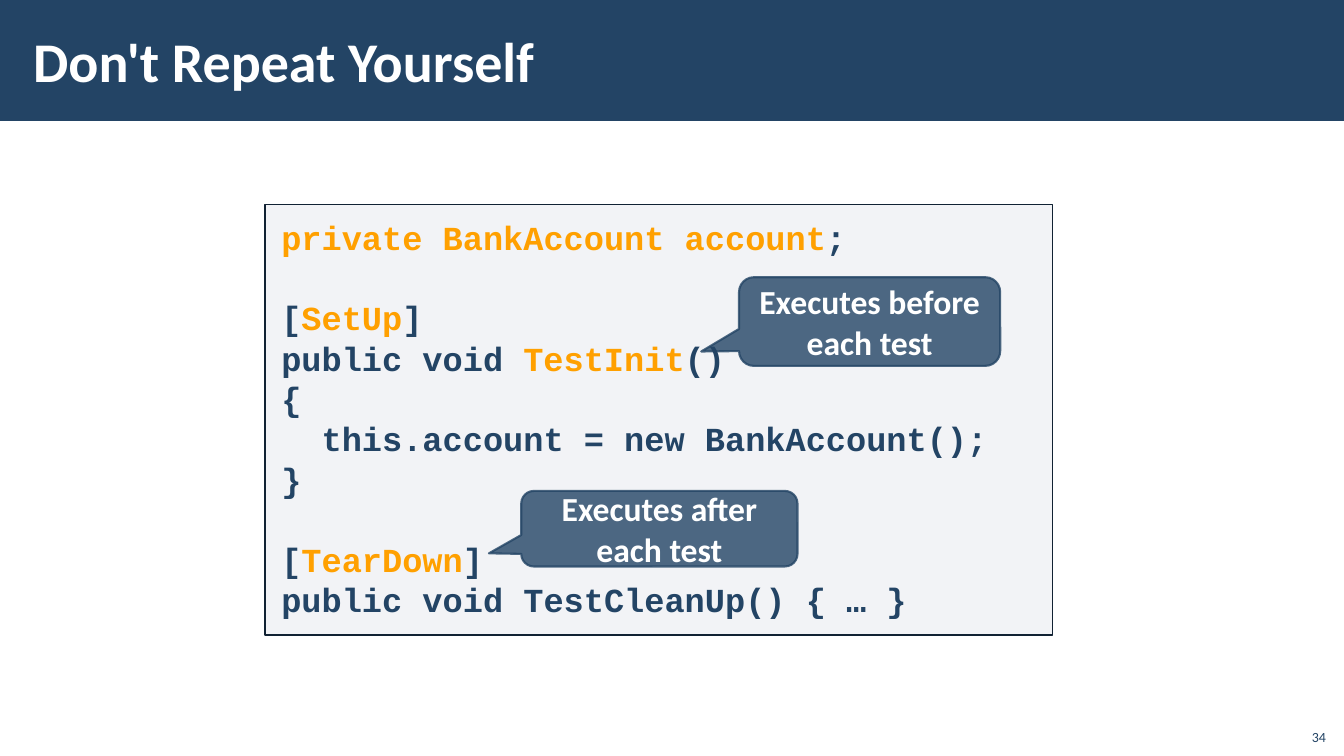
import pptx
import pptx.dml.color
import pptx.enum.shapes
import pptx.enum.text
import pptx.oxml
import pptx.util
from dataclasses import dataclass
from pptx.util import Inches

SHAPES = pptx.enum.shapes.MSO_SHAPE
ANCHOR = pptx.enum.text.MSO_ANCHOR
ALIGN = pptx.enum.text.PP_ALIGN


@dataclass(frozen=True)
class Theme:
    navy: str = "234465"
    orange: str = "FFA000"
    white: str = "FFFFFF"
    panel: str = "ADB4C3"
    panel_line: str = "112233"
    body_font: str = "Calibri"
    code_font: str = "Courier New"
    title_size: int = 40
    text_size: int = 24
    number_size: int = 10
    code_spacing: float = 1.0
    blank_line: float = 28.7


THEME = Theme()

# Each code line is (blank line above, [(text, highlighted), ...])
CODE = [
    (False, [("private BankAccount account", True), (";", False)]),
    (True, [("[", False), ("SetUp", True), ("]", False)]),
    (False, [("public void ", False), ("TestInit", True), ("()", False)]),
    (False, [("{", False)]),
    (False, [("  this.account = new BankAccount();", False)]),
    (False, [("}", False)]),
    (True, [("[", False), ("TearDown", True), ("]", False)]),
    (False, [("public void TestCleanUp() { … }", False)]),
]

# Text, box relative to the code panel, pointer and corner adjustments
CALLOUTS = [
    ("Executes before each test", (4.7, 0.72, 2.59, 0.88), (-0.645, 0.338, 0.167)),
    ("Executes after each test", (2.54, 2.84, 2.74, 0.75), (-0.617, 0.326, 0.167)),
]


def rgb(color):
    return pptx.dml.color.RGBColor.from_string(color)


def set_opacity(fill, percent):
    color = fill._xPr.find(".//" + pptx.oxml.ns.qn("a:srgbClr"))
    alpha = pptx.oxml.parse_xml(
        f'<a:alpha {pptx.oxml.ns.nsdecls("a")} val="{percent * 1000}"/>')
    color.append(alpha)


def add_box(slide, kind, box, color, opacity=100, line=None, line_width=1):
    shape = slide.shapes.add_shape(kind, *map(Inches, box))
    shape.shadow.inherit = False
    shape.fill.solid()
    shape.fill.fore_color.rgb = rgb(color)
    set_opacity(shape.fill, opacity)
    if line:
        shape.line.color.rgb = rgb(line)
        shape.line.width = pptx.util.Pt(line_width)
    else:
        shape.line.fill.background()
    return shape


def set_font(paragraph, name, size, color, bold=True):
    font = paragraph.font
    font.name, font.size, font.bold = name, pptx.util.Pt(size), bold
    font.color.rgb = rgb(color)


def set_frame(frame, anchor, horizontal=0.1, vertical=0.05):
    frame.word_wrap = True
    frame.vertical_anchor = anchor
    frame.margin_left = frame.margin_right = Inches(horizontal)
    frame.margin_top = frame.margin_bottom = Inches(vertical)


def add_title_bar(slide, box, title):
    left, top, width, height = box
    add_box(slide, SHAPES.RECTANGLE, box, THEME.navy)
    text_box = slide.shapes.add_textbox(
        Inches(left + 0.21), Inches(top + 0.11), Inches(10.63), Inches(height - 0.23))
    set_frame(text_box.text_frame, ANCHOR.MIDDLE, 0.12, 0.04)
    paragraph = text_box.text_frame.paragraphs[0]
    paragraph.text = title
    set_font(paragraph, THEME.body_font, THEME.title_size, THEME.white)


def add_code_panel(slide, box):
    panel = add_box(slide, SHAPES.RECTANGLE, box, THEME.panel, 15, THEME.panel_line)
    frame = panel.text_frame
    set_frame(frame, ANCHOR.TOP, 0.16, 0.12)
    for index, (gap_above, parts) in enumerate(CODE):
        paragraph = frame.paragraphs[0] if index == 0 else frame.add_paragraph()
        paragraph.alignment = ALIGN.LEFT
        paragraph.line_spacing = THEME.code_spacing
        if gap_above:
            paragraph.space_before = pptx.util.Pt(THEME.blank_line)
        set_font(paragraph, THEME.code_font, THEME.text_size, THEME.navy)
        for text, highlighted in parts:
            run = paragraph.add_run()
            run.text = text
            run.font.color.rgb = rgb(THEME.orange if highlighted else THEME.navy)


def add_callout(slide, box, text, adjustments):
    callout = add_box(slide, SHAPES.ROUNDED_RECTANGULAR_CALLOUT, box,
                      THEME.navy, 80, THEME.navy, 1.5)
    set_opacity(callout.line.fill, 80)
    for index, value in enumerate(adjustments):
        callout.adjustments[index] = value
    set_frame(callout.text_frame, ANCHOR.MIDDLE)
    paragraph = callout.text_frame.paragraphs[0]
    paragraph.text = text
    paragraph.alignment = ALIGN.CENTER
    set_font(paragraph, THEME.body_font, THEME.text_size, THEME.white)


def add_slide_number(slide, box, number):
    text_box = slide.shapes.add_textbox(*map(Inches, box))
    set_frame(text_box.text_frame, ANCHOR.BOTTOM)
    paragraph = text_box.text_frame.paragraphs[0]
    paragraph.text = number
    paragraph.alignment = ALIGN.RIGHT
    set_font(paragraph, THEME.body_font, THEME.number_size, THEME.navy, bold=False)


def build_code_slide(presentation):
    slide = presentation.slides.add_slide(presentation.slide_layouts[6])

    # Header
    add_title_bar(slide, (0, 0, 13.34, 1.2), "Don't Repeat Yourself")

    # Code with its callouts
    panel = (2.63, 2.03, 7.81, 4.27)
    add_code_panel(slide, panel)
    for text, (left, top, width, height), adjustments in CALLOUTS:
        box = (panel[0] + left, panel[1] + top, width, height)
        add_callout(slide, box, text, adjustments)

    # Footer
    add_slide_number(slide, (12.85, 7.12, 0.4, 0.32), "34")


def main():
    presentation = pptx.Presentation()
    presentation.slide_width = Inches(13.33)
    presentation.slide_height = Inches(7.5)
    build_code_slide(presentation)
    presentation.save("out.pptx")


if __name__ == "__main__":
    main()
